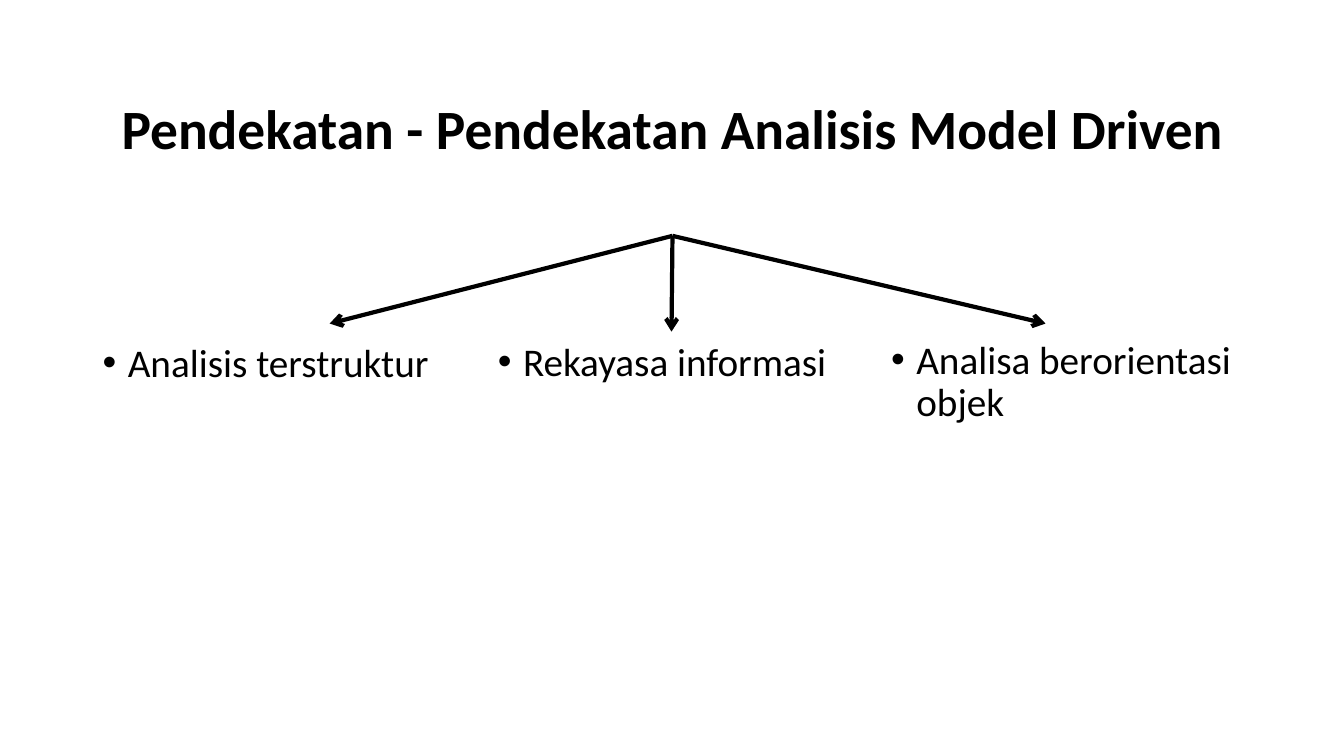
from lxml.etree import SubElement
from pptx import Presentation
from pptx.dml.color import RGBColor
from pptx.enum.shapes import MSO_CONNECTOR
from pptx.enum.text import MSO_ANCHOR, PP_ALIGN
from pptx.oxml.ns import qn
from pptx.util import Inches, Pt

WIDTH, HEIGHT = 13.33, 7.5
FONT = "Calibri"
BLACK = "000000"
APPROACHES = [
    ("Analisis terstruktur", (0.92, 3.36, 3.97, 0.75), (3.27, 3.21)),
    ("Rekayasa informasi", (4.84, 3.35, 3.97, 0.98), (6.66, 3.29)),
    ("Analisa berorientasi objek", (8.74, 3.33, 3.97, 1.26), (10.37, 3.21)),
]


def color(hex_value):
    return RGBColor.from_string(hex_value)


def add_text(slide, box, words, size, bold=False):
    frame = slide.shapes.add_textbox(*map(Inches, box)).text_frame
    frame.word_wrap = True
    frame.text = words
    paragraph = frame.paragraphs[0]
    paragraph.line_spacing = 0.9
    font = paragraph.runs[0].font
    font.name, font.size, font.bold = FONT, Pt(size), bold
    font.color.rgb = color(BLACK)
    return frame


def add_heading(slide, box):
    heading = add_text(slide, box, "Pendekatan - Pendekatan Analisis Model Driven", 39.6, True)
    heading.vertical_anchor = MSO_ANCHOR.TOP
    heading.margin_top = Inches(0.12)
    heading.paragraphs[0].alignment = PP_ALIGN.CENTER


def add_approach(slide, box, words):
    paragraph = add_text(slide, box, words, 28).paragraphs[0]
    paragraph.space_before = Pt(10)
    properties = paragraph._p.get_or_add_pPr()
    properties.set("marL", str(Inches(0.25)))
    properties.set("indent", str(-Inches(0.25)))
    SubElement(properties, qn("a:buFont"), typeface="Arial")
    SubElement(properties, qn("a:buChar"), char="•")


def add_arrow(slide, start, end):
    arrow = slide.shapes.add_connector(MSO_CONNECTOR.STRAIGHT, *map(Inches, start + end))
    arrow.line.color.rgb = color(BLACK)
    arrow.line.width = Pt(3)
    SubElement(arrow.line._get_or_add_ln(), qn("a:tailEnd"), type="arrow")
    SubElement(arrow._element.spPr, qn("a:effectLst"))


def main():
    deck = Presentation()
    deck.slide_width, deck.slide_height = Inches(WIDTH), Inches(HEIGHT)
    slide = deck.slides.add_slide(deck.slide_layouts[6])
    add_heading(slide, (0.92, 0.89, 11.5, 1.45))
    for words, box, _ in APPROACHES:
        add_approach(slide, box, words)
    for _, _, tip in APPROACHES:
        add_arrow(slide, (6.67, 2.34), tip)
    deck.save("out.pptx")


if __name__ == "__main__":
    main()
